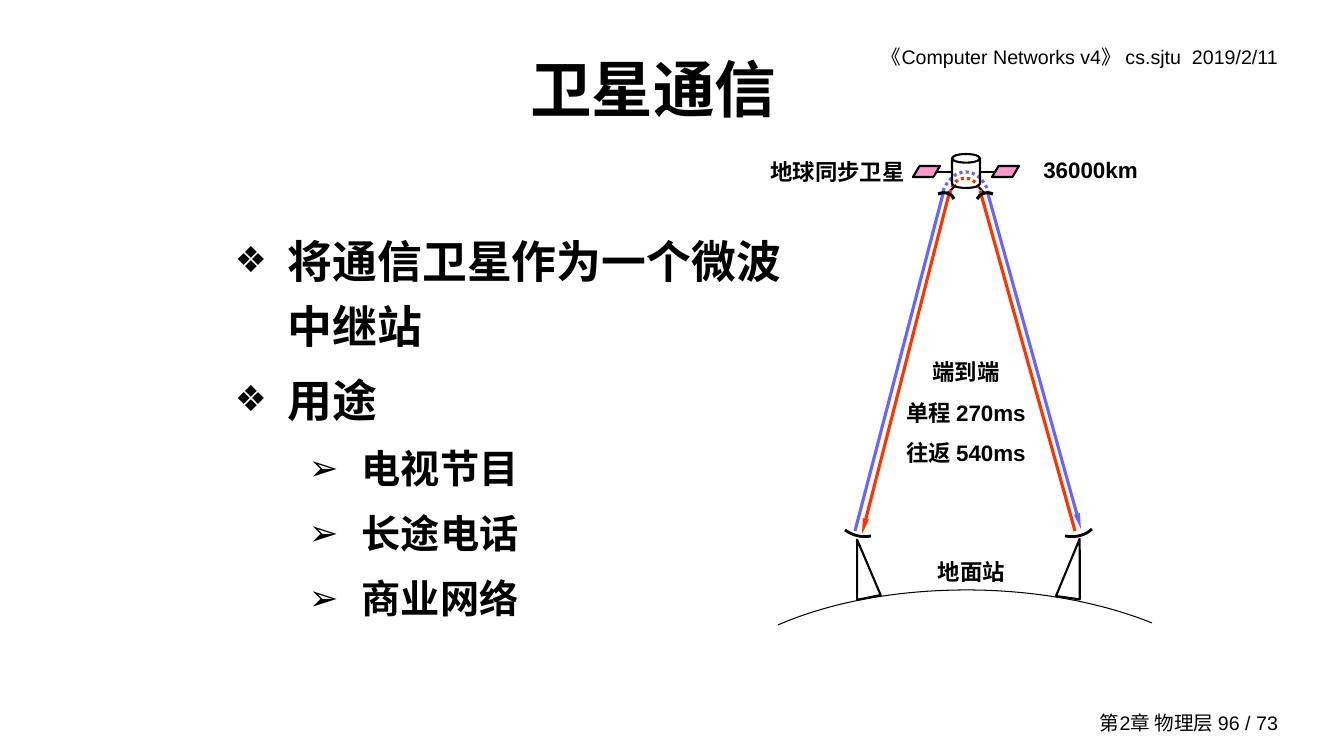
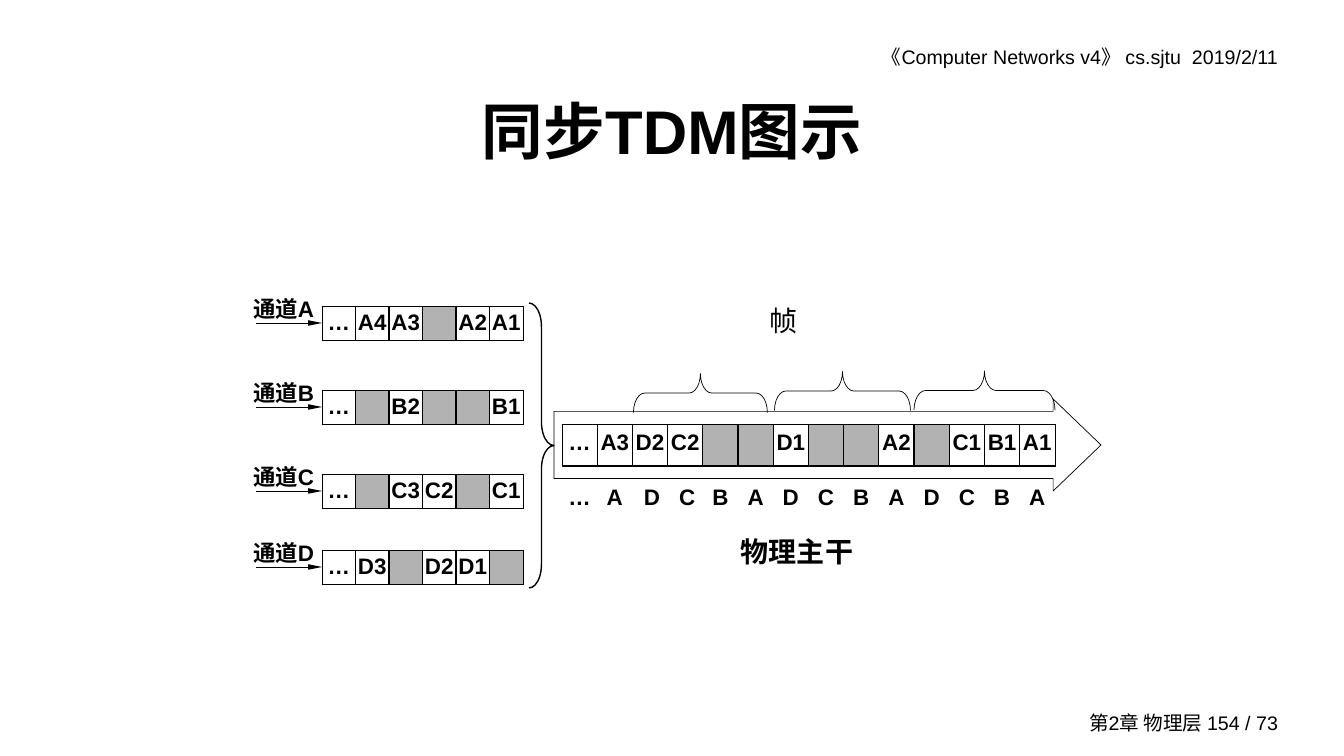
from lxml.etree import SubElement
from pptx import Presentation
from pptx.dml.color import RGBColor
from pptx.enum.dml import MSO_LINE
from pptx.enum.shapes import MSO_CONNECTOR, MSO_SHAPE as SHAPE
from pptx.enum.text import MSO_ANCHOR as ANCHOR, PP_ALIGN as ALIGN
from pptx.oxml.ns import qn
from pptx.util import Pt

PX = 9071  # EMU in one px, at 100.8 px to the inch
hex_color = RGBColor.from_string

BLACK = "000000"
RED = "FF3300"
BLUE = "6666FF"
PINK = "FF99CC"
GRAY = "B2B2B2"
NO_STYLE_TABLE = "{2D5ABB26-0587-4C30-8999-92F81FD0307C}"

HEADER = {"size": Pt(14), "name": "Arial"}
TITLE = {"size": Pt(44), "name": "Arial", "bold": True}
LABEL = {"size": Pt(16), "name": "Arial", "bold": True}
TRUNK_NAME = {"size": Pt(20), "name": "Arial", "bold": True}
FRAME_NAME = {"size": Pt(20), "name": "Arial"}


def write(frame, lines, font, **paragraph_format):
    """Fill a text frame with one paragraph a line and return the paragraphs."""
    frame.word_wrap = True
    for index, line in enumerate(lines):
        paragraph = frame.paragraphs[0] if index == 0 else frame.add_paragraph()
        for name, value in paragraph_format.items():
            setattr(paragraph, name, value)
        run = paragraph.add_run()
        run.text = line
        run.font.color.rgb = hex_color(BLACK)
        for name, value in font.items():
            setattr(run.font, name, value)
    return frame.paragraphs


def outline(shape, width, color=BLACK, fill=None, dash=None, arrow=False):
    """Give a shape or connector its line and fill, without a shadow."""
    if fill:
        shape.fill.solid()
        shape.fill.fore_color.rgb = hex_color(fill)
    elif hasattr(shape, "fill"):
        shape.fill.background()
    shape.line.width = Pt(width)
    shape.line.color.rgb = hex_color(color)
    if dash:
        shape.line.dash_style = dash
    properties = shape._element.spPr
    if arrow:
        SubElement(properties.find(qn("a:ln")), qn("a:tailEnd"),
                   type="triangle", w="sm", len="lg")
    SubElement(properties, qn("a:effectLst"))


presentation = Presentation()
presentation.slide_width = 1344 * PX
presentation.slide_height = 756 * PX

# What the slides share: header, footer and title
slides = []
for page, title, title_box in [
    (96, "卫星通信", (225, 25, 857, 126)),
    (154, "同步TDM图示", (101, 67, 1142, 126)),
]:
    slide = presentation.slides.add_slide(presentation.slide_layouts[6])
    slides.append(slide)
    for text, box, font, align, anchor in [
        ("《Computer Networks v4》 cs.sjtu  2019/2/11", (709, 40, 579, 34),
         HEADER, ALIGN.RIGHT, ANCHOR.TOP),
        (f"第2章 物理层 {page} / 73", (984, 706, 304, 33),
         HEADER, ALIGN.RIGHT, ANCHOR.MIDDLE),
        (title, title_box, TITLE, ALIGN.CENTER, ANCHOR.MIDDLE),
    ]:
        frame = slide.shapes.add_textbox(*[n * PX for n in box]).text_frame
        frame.vertical_anchor = anchor
        write(frame, [text], font, alignment=align)
satellite_slide, tdm_slide = slides

# Satellite slide: bullet list
shapes = satellite_slide.shapes
bullet_points = [
    (0, "将通信卫星作为一个微波中继站"),
    (0, "用途"),
    (1, "电视节目"),
    (1, "长途电话"),
    (1, "商业网络"),
]
bullet_levels = [  # character, percent, left margin, hanging, text size
    ("❖", 80, 53, 53, 32),
    ("➢", 90, 127, 53, 28),
]
body = shapes.add_textbox(225 * PX, 218 * PX, 591 * PX, 454 * PX)
paragraphs = write(body.text_frame, [text for _, text in bullet_points], TITLE,
                   line_spacing=1.2)
for index, (paragraph, (level, _)) in enumerate(zip(paragraphs, bullet_points)):
    character, percent, margin, hanging, size = bullet_levels[level]
    paragraph.level = level
    if index > 0:
        paragraph.space_before = Pt(size * 0.22)
    properties = paragraph._p.get_or_add_pPr()
    properties.set("marL", str(margin * PX))
    properties.set("indent", str(-hanging * PX))
    bullet_color = SubElement(properties, qn("a:buClr"))
    SubElement(bullet_color, qn("a:srgbClr"), val=BLACK)
    SubElement(properties, qn("a:buSzPct"), val=str(percent * 1000))
    SubElement(properties, qn("a:buFont"), typeface="Arial")
    SubElement(properties, qn("a:buChar"), char=character)
    paragraph.runs[0].font.size = Pt(size)

# Satellite slide: beams, satellite arms and dish legs
for start, end, width, color, arrow in [
    ((949, 194), (862, 534), 2.25, RED, True),
    ((943, 194), (855, 531), 2.25, BLUE, False),
    ((981, 194), (1075, 531), 2.25, RED, False),
    ((988, 194), (1081, 529), 2.25, BLUE, True),
    ((937, 172), (952, 172), 1.5, BLACK, False),
    ((994, 172), (980, 172), 1.5, BLACK, False),
    ((956, 185), (947, 194), 1.5, BLACK, False),
    ((977, 185), (985, 194), 1.5, BLACK, False),
]:
    line = shapes.add_connector(MSO_CONNECTOR.STRAIGHT,
                                *[n * PX for n in start + end])
    outline(line, width, color, arrow=arrow)

# Curves: a start point, then two control points and an end for each piece;
# the centre of the circle only widens the shape's frame
for points, center, width, color, dash in [
    ([(778, 625), (831, 602), (897, 590), (967, 590),
      (1034, 590), (1100, 602), (1152, 623)], (967, 740), 0.75, BLACK, None),
    ([(950, 193), (952, 183), (958, 178), (965, 178),
      (972, 178), (978, 183), (981, 193)], (965, 202), 2.25, RED, MSO_LINE.ROUND_DOT),
    ([(943, 191), (948, 179), (956, 172), (966, 172),
      (975, 172), (984, 179), (988, 191)], (966, 202), 2.25, BLUE, MSO_LINE.ROUND_DOT),
    ([(954, 199), (952, 193), (944, 191), (938, 194)], (943, 204), 2.25, BLACK, None),
    ([(993, 194), (987, 191), (980, 193), (977, 199)], (987, 204), 2.25, BLACK, None),
    ([(845, 530), (852, 535), (861, 538), (871, 536)], (869, 510), 2, BLACK, None),
    ([(1092, 529), (1086, 535), (1076, 538), (1065, 536)], (1067, 510), 2, BLACK, None),
]:
    builder = shapes.build_freeform(*points[0], scale=PX)
    builder.add_line_segments(points[1:], close=False)
    builder.move_to(*center)
    curve = builder.convert_to_shape()
    segments = list(curve._element.iter(qn("a:lnTo")))
    for first in range(0, len(segments), 3):
        piece = segments[first:first + 3]
        bezier = piece[0].makeelement(qn("a:cubicBezTo"))
        piece[0].addprevious(bezier)
        for segment in piece:
            bezier.append(segment[0])
            segment.getparent().remove(segment)
    outline(curve, width, color, dash=dash)

for kind, box, adjustment, rotation, fill in [
    (SHAPE.CAN, (952, 154, 28, 34), 0.31, 0, None),
    (SHAPE.PARALLELOGRAM, (913, 166, 27, 11), 0.6, 0, PINK),
    (SHAPE.PARALLELOGRAM, (992, 166, 27, 11), 0.6, 0, PINK),
    (SHAPE.ISOSCELES_TRIANGLE, (851, 539, 24, 59), 0.5, 348.5, None),
    (SHAPE.ISOSCELES_TRIANGLE, (1060, 538, 24, 60), 0.65, 7.9, None),
]:
    shape = shapes.add_shape(kind, *[n * PX for n in box])
    shape.adjustments[0] = adjustment
    shape.rotation = rotation
    outline(shape, 1.5, fill=fill)

for lines, box, spacing in [
    (["地面站"], (912, 553, 119, 37), 1.0),
    (["地球同步卫星"], (754, 153, 167, 37), 1.0),
    (["36000km"], (1031, 151, 119, 37), 1.0),
    (["端到端", "单程 270ms", "往返 540ms"], (887, 340, 158, 131), 1.5),
]:
    label = shapes.add_textbox(*[n * PX for n in box])
    write(label.text_frame, lines, LABEL, alignment=ALIGN.CENTER, line_spacing=spacing)

# TDM slide: slot tables, where "-" is an empty slot
shapes = tdm_slide.shapes
channels = [
    ("通道A", 306, "… A4 A3 - A2 A1"),
    ("通道B", 390, "… - B2 - - B1"),
    ("通道C", 474, "… - C3 C2 - C1"),
    ("通道D", 550, "… D3 - D2 D1 -"),
]
slot_tables = [((322, top, 201, 34), slots, 0.5, 1.0) for _, top, slots in channels]
slot_tables += [  # box, slots, width of the bottom border, line spacing
    ((562, 424, 493, 42), "… A3 D2 C2 - - D1 - - A2 - C1 B1 A1", 1, 1.1),
    ((562, 479, 493, 42), "… A D C B A D C B A D C B A", None, 1.1),
]
table_frames = []
for box, slots, bottom_width, spacing in slot_tables:
    slots = slots.split()
    table_frame = shapes.add_table(1, len(slots), *[n * PX for n in box])
    table_frames.append(table_frame)
    table = table_frame.table
    table.first_row = table.horz_banding = False
    table._tbl.tblPr.find(qn("a:tableStyleId")).text = NO_STYLE_TABLE
    for index, (slot, cell) in enumerate(zip(slots, table.rows[0].cells)):
        cell.margin_left = cell.margin_right = 2 * PX
        cell.margin_top, cell.margin_bottom = 4 * PX, 0
        if bottom_width:
            for side, width in [
                ("L", 0.5 if index == 0 else 1),
                ("R", 0.5 if index == len(slots) - 1 else 1),
                ("T", 0.5),
                ("B", bottom_width),
            ]:
                border = SubElement(cell._tc.get_or_add_tcPr(), qn(f"a:ln{side}"),
                                    w=str(Pt(width)))
                SubElement(SubElement(border, qn("a:solidFill")), qn("a:srgbClr"),
                           val=BLACK)
        if slot == "-":
            cell.fill.solid()
            cell.fill.fore_color.rgb = hex_color(GRAY)
        else:
            cell.fill.background()
            write(cell.text_frame, [slot], LABEL,
                  alignment=ALIGN.CENTER, line_spacing=spacing)
trunk_letters = table_frames[-1].table
trunk_letters.columns[2].width += 4 * PX
trunk_letters.columns[3].width -= 4 * PX

# TDM slide: channel arrows and labels
labels = [
    ("物理主干", (731, 530, 148, 42), TRUNK_NAME, ALIGN.JUSTIFY),
    ("帧", (760, 299, 39, 43), FRAME_NAME, ALIGN.LEFT),
]
for (name, top, _), table_frame in zip(channels, table_frames):
    labels.append((name, (231, top - 16, 93, 42), LABEL, ALIGN.RIGHT))
    middle = (top + 17) * PX
    arrow = shapes.add_connector(MSO_CONNECTOR.STRAIGHT,
                                 256 * PX, middle, 322 * PX, middle)
    arrow.end_connect(table_frame, 1)
    outline(arrow, 0.5, arrow=True)
for text, box, font, align in labels:
    label = shapes.add_textbox(*[n * PX for n in box])
    write(label.text_frame, [text], font, alignment=align)

# TDM slide: trunk arrow and braces
for kind, box, adjustments, rotation, width in [
    (SHAPE.RIGHT_ARROW, (554, 399, 547, 92), (0.73, 0.52), 0, 0.5),
    (SHAPE.RIGHT_BRACE, (529, 303, 25, 285), (0.94, 0.5), 0, 1),
    (SHAPE.RIGHT_BRACE, (681, 326, 39, 134), (0.29, 0.5), 270, 0.5),
    (SHAPE.RIGHT_BRACE, (823, 323, 39, 136), (0.29, 0.5), 270, 0.5),
    (SHAPE.RIGHT_BRACE, (965, 320, 39, 141), (0.3, 0.5), 270, 0.5),
]:
    shape = shapes.add_shape(kind, *[n * PX for n in box])
    for index, adjustment in enumerate(adjustments):
        shape.adjustments[index] = adjustment
    shape.rotation = rotation
    outline(shape, width)

presentation.save("out.pptx")
